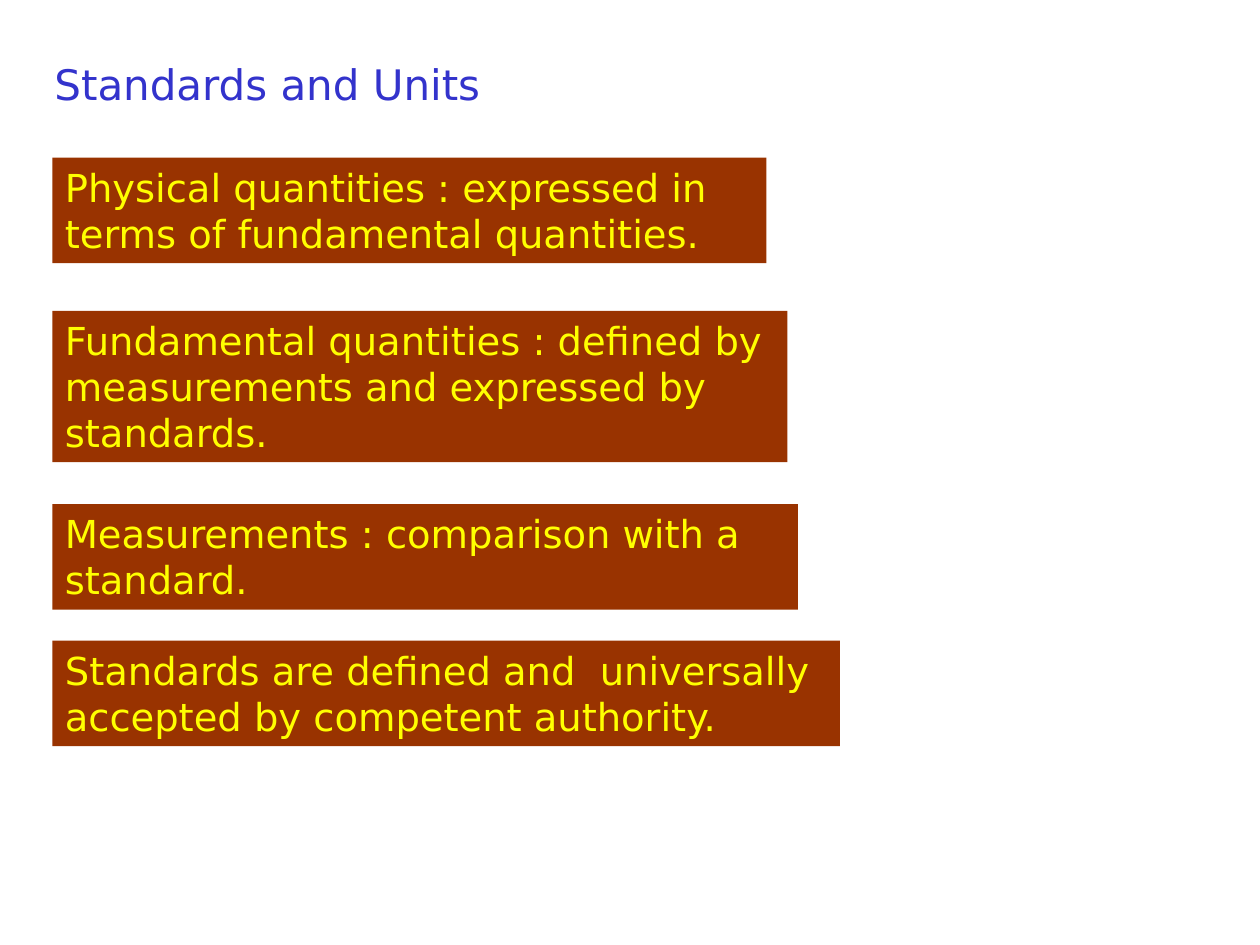
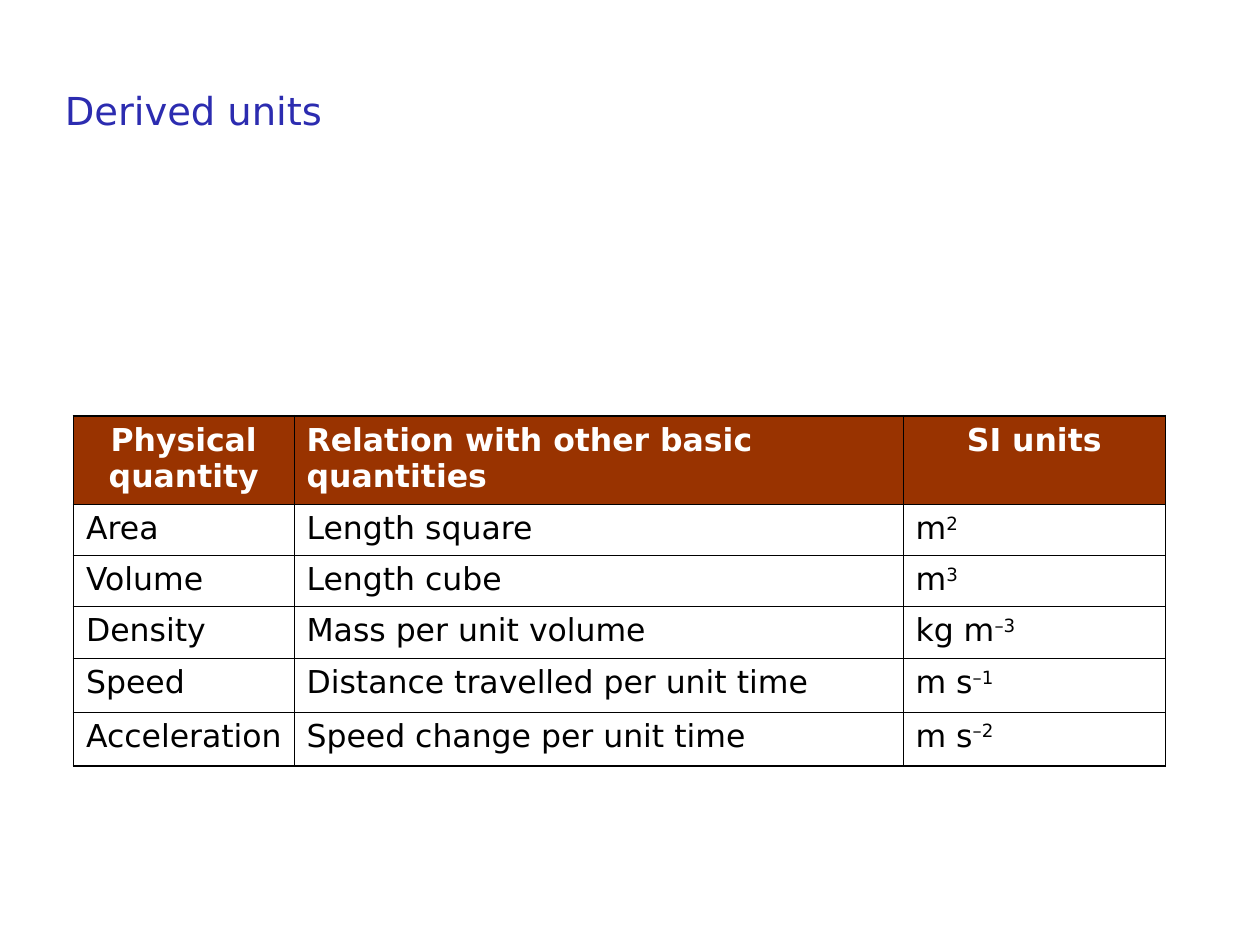
from lxml import etree
from pptx import Presentation
from pptx.dml.color import RGBColor
from pptx.enum.shapes import MSO_SHAPE
from pptx.enum.text import MSO_ANCHOR, PP_ALIGN
from pptx.oxml.ns import qn
from pptx.util import Pt

RECTANGLE = MSO_SHAPE.RECTANGLE
TOP, MIDDLE = MSO_ANCHOR.TOP, MSO_ANCHOR.MIDDLE
LEFT, CENTER = PP_ALIGN.LEFT, PP_ALIGN.CENTER

FONT = "DejaVu Sans"
COLORS = {
    "title": "3333CC",
    "subtitle": "2C2CB0",
    "band": "993300",
    "statement": "FFFF00",
    "header": "FFFFFF",
    "body": "000000",
    "border": "000000",
}
OUTER_LINE, INNER_LINE = 1.08, 0.45
STATEMENT_LEFT = 30

# Top, width, height and wording of each statement
STATEMENTS = [
    (90, 408, 60.4, "Physical quantities : expressed in terms of fundamental quantities."),
    (177.7, 420, 86.4,
     "Fundamental quantities : defined by\vmeasurements and expressed by\vstandards."),
    (288, 426, 60.4, "Measurements : comparison with a standard."),
    (366, 450, 60.4,
     "Standards are defined and  universally accepted by competent authority."),
]

COLUMN_WIDTHS = [126, 348, 150]
ROW_HEIGHTS = [50.4, 29.2, 29.2, 29.6, 30.8, 30.8]
HEADERS = [("Physical\vquantity", CENTER),
           ("Relation with other basic quantities", LEFT),
           ("SI units", CENTER)]
# Quantity, relation, unit and the exponent of the unit
DERIVED_UNITS = [
    ("Area", "Length square", "m", "2"),
    ("Volume", "Length cube", "m", "3"),
    ("Density", "Mass per unit volume", "kg m", "–3"),
    ("Speed", "Distance travelled per unit time", "m s", "–1"),
    ("Acceleration", "Speed change per unit time", "m s", "–2"),
]


def rgb(name):
    """Return the named colour."""
    return RGBColor.from_string(COLORS[name])


def write_text(text_frame, text, size, color, bold=False, align=LEFT, exponent=""):
    """Write one paragraph, with an optional raised exponent at its end."""
    text_frame.word_wrap = True
    paragraph = text_frame.paragraphs[0]
    paragraph.text = text
    paragraph.alignment = align
    if exponent:
        raised = paragraph.add_run()
        raised.text = exponent
        raised._r.get_or_add_rPr().set("baseline", "30000")
    for run in paragraph.runs:
        run.font.name = FONT
        run.font.size = Pt(size)
        run.font.bold = bold
        run.font.color.rgb = rgb(color)


def add_title(slide, box, text, size, color):
    """Place a slide title, centred vertically in its box."""
    shape = slide.shapes.add_textbox(*map(Pt, box))
    shape.text_frame.vertical_anchor = MIDDLE
    write_text(shape.text_frame, text, size, color)


def add_statement(slide, box, text):
    """Place a filled band that holds one statement."""
    shape = slide.shapes.add_shape(RECTANGLE, *map(Pt, box))
    shape.shadow.inherit = False
    shape.fill.solid()
    shape.fill.fore_color.rgb = rgb("band")
    shape.line.fill.background()
    shape.text_frame.vertical_anchor = TOP
    write_text(shape.text_frame, text, 22, "statement")


def set_borders(cell, widths):
    """Draw the left, right, top and bottom borders of a cell."""
    properties = cell._tc.get_or_add_tcPr()
    for side, width in zip("LRTB", widths):
        line = etree.SubElement(properties, qn(f"a:ln{side}"), w=str(int(Pt(width))))
        fill = etree.SubElement(line, qn("a:solidFill"))
        etree.SubElement(fill, qn("a:srgbClr"), val=COLORS["border"])


def add_units_table(slide, left, top):
    """Place the table of derived units, with a heavier outer frame."""
    row_count, column_count = len(ROW_HEIGHTS), len(COLUMN_WIDTHS)
    frame = slide.shapes.add_table(row_count, column_count, Pt(left), Pt(top),
                                   Pt(sum(COLUMN_WIDTHS)), Pt(sum(ROW_HEIGHTS)))
    table = frame.table
    table.first_row = table.horz_banding = False
    for column, width in zip(table.columns, COLUMN_WIDTHS):
        column.width = Pt(width)
    for row, height in zip(table.rows, ROW_HEIGHTS):
        row.height = Pt(height)

    for r in range(row_count):
        for c in range(column_count):
            cell = table.cell(r, c)
            on_edge = (c == 0, c == column_count - 1, r == 0, r == row_count - 1)
            set_borders(cell, [OUTER_LINE if edge else INNER_LINE for edge in on_edge])
            if r == 0:
                cell.fill.solid()
                cell.fill.fore_color.rgb = rgb("band")
                text, align = HEADERS[c]
                write_text(cell.text_frame, text, 18, "header", True, align)
            else:
                cell.fill.background()
                # A narrow right margin keeps the longest quantity on one line
                cell.margin_right = Pt(2)
                *texts, exponent = DERIVED_UNITS[r - 1]
                is_unit = c == column_count - 1
                write_text(cell.text_frame, texts[c], 18, "body",
                           exponent=exponent if is_unit else "")


def build_standards_slide(slide):
    """Build the slide on standards and units."""
    add_title(slide, (24, 24, 264, 48), "Standards and Units", 24, "title")
    for top, width, height, text in STATEMENTS:
        add_statement(slide, (STATEMENT_LEFT, top, width, height), text)


def build_units_slide(slide):
    """Build the slide on derived units."""
    add_units_table(slide, 42, 237.6)
    add_title(slide, (30, 30, 402, 66), "Derived units", 22, "subtitle")


def main():
    """Build and save the presentation."""
    presentation = Presentation()
    presentation.slide_width, presentation.slide_height = Pt(720), Pt(540)
    blank = presentation.slide_layouts[6]
    for build in (build_standards_slide, build_units_slide):
        build(presentation.slides.add_slide(blank))
    presentation.save("out.pptx")


main()
